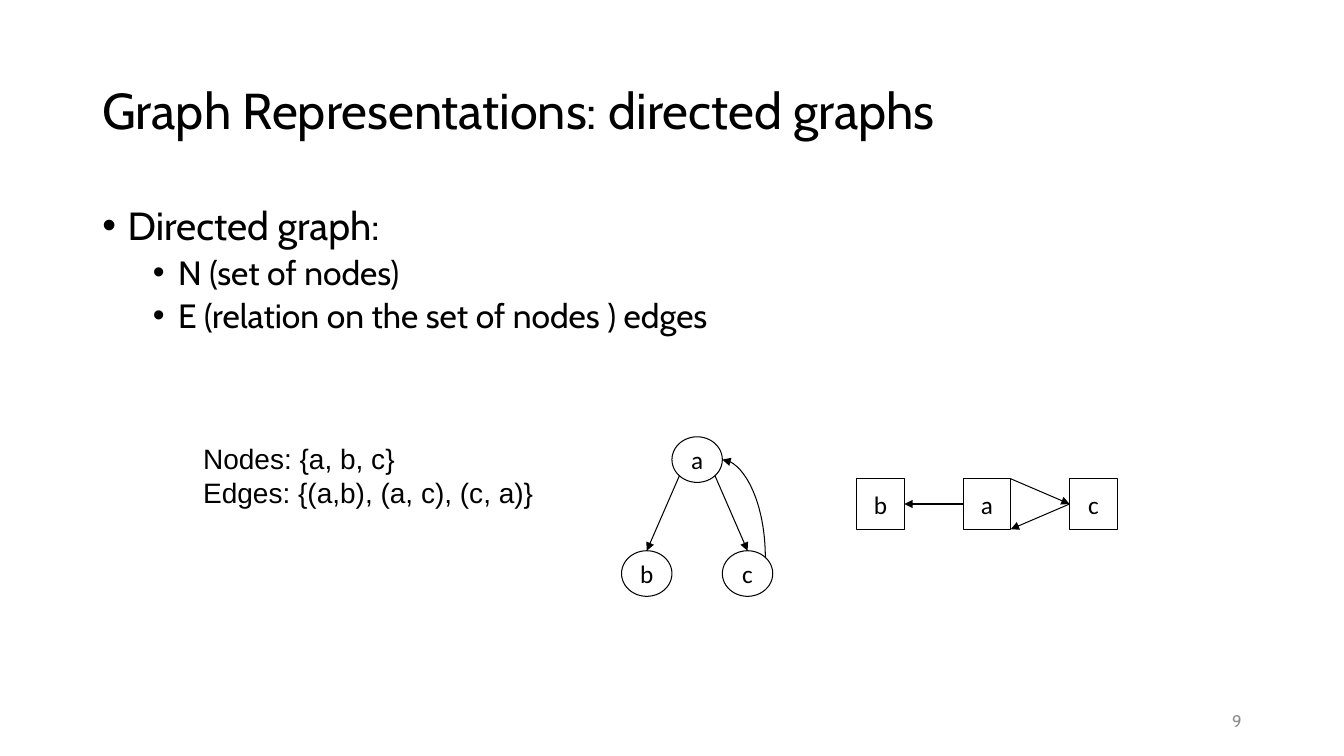
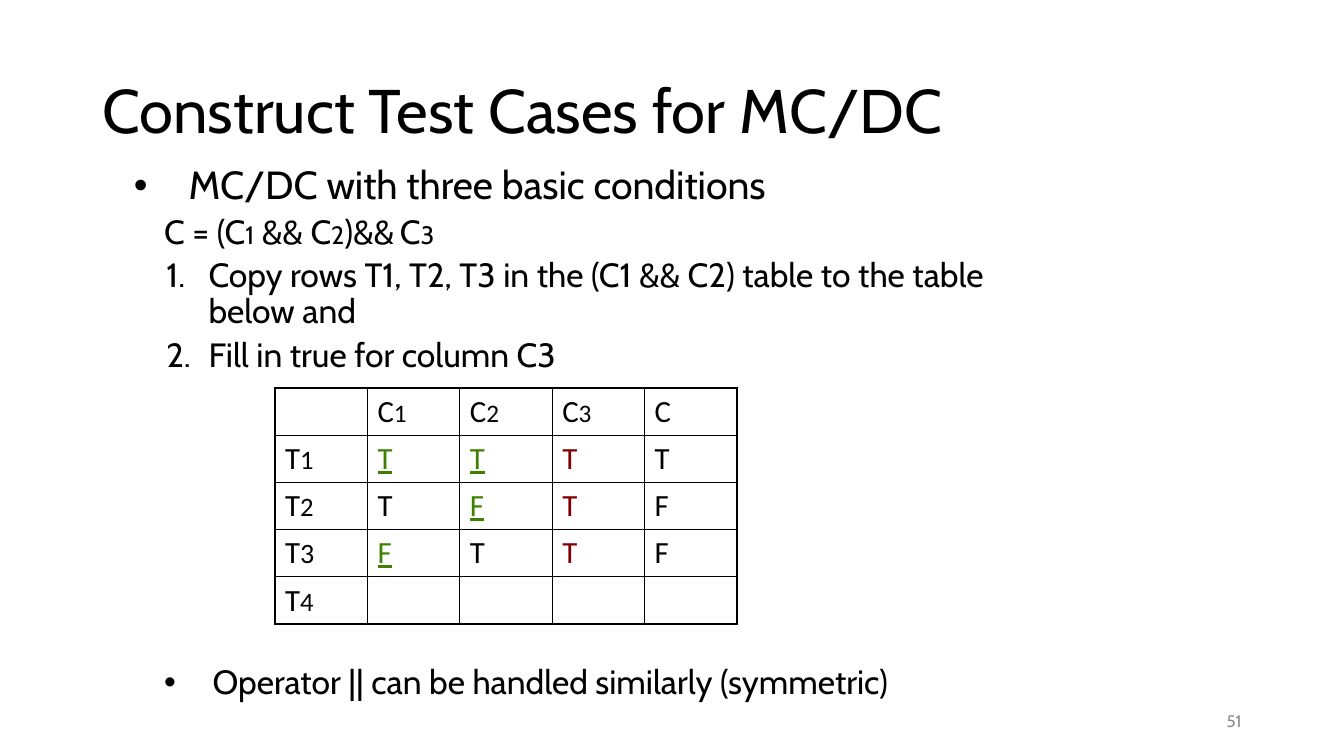
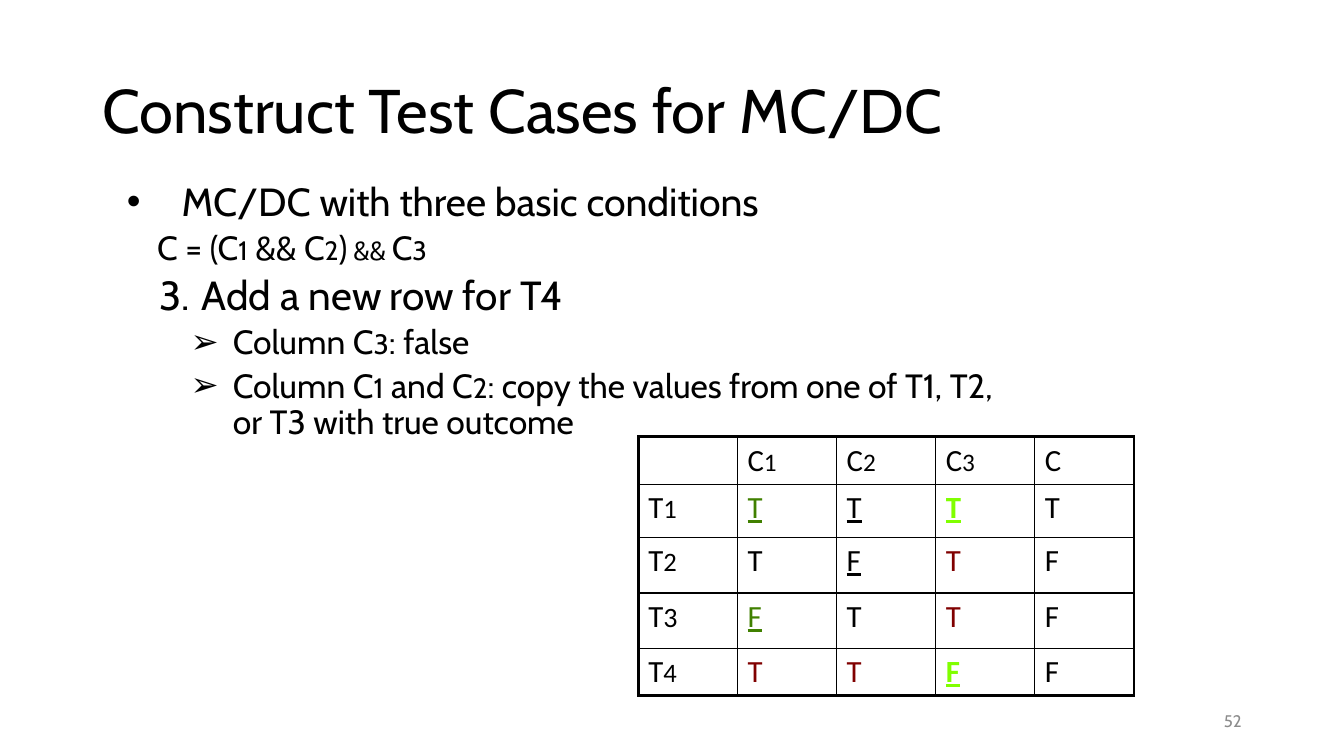
"""Build three lecture slides on directed graphs and MC/DC test cases."""
import lxml.etree
import pptx
import pptx.dml.color
import pptx.enum.shapes
import pptx.enum.text
import pptx.oxml.ns
import pptx.util

Pt = pptx.util.Pt
qn = pptx.oxml.ns.qn
SHAPES = pptx.enum.shapes.MSO_SHAPE
CONNECTORS = pptx.enum.shapes.MSO_CONNECTOR
ALIGN = pptx.enum.text.PP_ALIGN
MIDDLE = pptx.enum.text.MSO_ANCHOR.MIDDLE


def rgb(hex_color):
    return pptx.dml.color.RGBColor.from_string(hex_color)


def add_xml(parent, tag, **attributes):
    return lxml.etree.SubElement(parent, qn(tag), attributes)


class Deck:
    """Hold the shared style and the current slide."""

    INK, MUTED = "000000", "8C8C8C"
    HEADING, PLAIN, LABEL = "Cabin", "Arial", "Calibri"
    # level, left indent, first-line indent, bullet, space before
    LIST_STYLES = {
        "topic": (0, 18, -18, "•", 10),
        "point": (1, 54, -18, "•", 5),
        "wide topic": (0, 39, -39, "•", 10),
        "formula": (1, 21.6, 0, "", 5),
        "step": (1, 53.3, -30.2, "1", 5),
        "third step": (1, 53.3, -30.2, "3", 5),
        "detail": (2, 75.6, -30.2, "➢", 5),
        "closing": (1, 56.2, -34.6, "•", 208),
    }
    # colour, underline, bold
    MARKS = {
        "": (INK, False, False),
        "line": (INK, True, False),
        "pair": ("408000", True, False),
        "fixed": ("800000", False, False),
        "new": ("80FF00", True, True),
    }
    DIGIT_SIZES = {"C": 18, "T": 19, "T3": 20}

    def __init__(self):
        self.prs = pptx.Presentation()
        self.prs.slide_width, self.prs.slide_height = Pt(960), Pt(540)
        self.slide = None

    def run(self, paragraph, text, size, font, color=INK, underline=False, bold=False):
        run = paragraph.add_run()
        run.text = text
        run.font.size, run.font.name = Pt(size), font
        run.font.color.rgb = rgb(color)
        run.font.underline, run.font.bold = underline, bold

    def place(self, shape, left, top, width, height):
        shape.left, shape.top, shape.width, shape.height = map(Pt, (left, top, width, height))
        shape.text_frame.auto_size = pptx.enum.text.MSO_AUTO_SIZE.NONE
        return shape.text_frame

    def start(self, title, size, number):
        self.slide = self.prs.slides.add_slide(self.prs.slide_layouts[1])
        frame = self.place(self.slide.shapes.title, 66, 28.8, 828, 104.4)
        frame.vertical_anchor = MIDDLE
        heading = frame.paragraphs[0]
        heading.alignment, heading.line_spacing = ALIGN.LEFT, 0.9
        self.run(heading, title, size, self.HEADING)
        self.text([str(number)], (678, 500.5, 216, 28.8), 12, self.HEADING,
                  self.MUTED, ALIGN.RIGHT, MIDDLE)

    def text(self, lines, box, size, font, color=INK, align=ALIGN.LEFT, anchor=None):
        frame = self.slide.shapes.add_textbox(*map(Pt, box)).text_frame
        frame.word_wrap, frame.vertical_anchor = True, anchor
        for index, line in enumerate(lines):
            paragraph = frame.add_paragraph() if index else frame.paragraphs[0]
            paragraph.alignment = align
            self.run(paragraph, line, size, font, color)

    def body(self, box, items):
        frame = self.place(self.slide.placeholders[1], *box)
        for index, (style, *runs) in enumerate(items):
            level, margin, indent, bullet, before = self.LIST_STYLES[style]
            paragraph = frame.add_paragraph() if index else frame.paragraphs[0]
            properties = paragraph._p.get_or_add_pPr()
            properties.set("marL", str(Pt(margin)))
            properties.set("indent", str(Pt(indent)))
            if not bullet:
                add_xml(properties, "a:buNone")
            elif bullet.isdigit():
                add_xml(properties, "a:buFont", typeface=self.HEADING)
                add_xml(properties, "a:buAutoNum", type="arabicPeriod", startAt=bullet)
            else:
                add_xml(properties, "a:buFont", typeface=self.PLAIN)
                add_xml(properties, "a:buChar", char=bullet)
            paragraph.level, paragraph.line_spacing = level, 0.9
            paragraph.space_before = Pt(before if index else 0)
            for words, size in runs:
                self.run(paragraph, words, size, self.HEADING)

    def node(self, kind, name, left, top, width, height):
        node = self.slide.shapes.add_shape(kind, *map(Pt, (left, top, width, height)))
        node.shadow.inherit = False
        node.fill.background()
        node.line.color.rgb, node.line.width = rgb(self.INK), Pt(0.75)
        frame = node.text_frame
        frame.word_wrap, frame.vertical_anchor = False, MIDDLE
        frame.paragraphs[0].alignment = ALIGN.CENTER
        self.run(frame.paragraphs[0], name, 18, self.LABEL)

    def arrow(self, x1, y1, x2, y2, kind=CONNECTORS.STRAIGHT):
        arrow = self.slide.shapes.add_connector(kind, *map(Pt, (x1, y1, x2, y2)))
        arrow.line.color.rgb, arrow.line.width = rgb(self.INK), Pt(0.75)
        add_xml(arrow.line._get_or_add_ln(), "a:tailEnd", type="triangle")
        add_xml(arrow._element.spPr, "a:effectLst")
        return arrow

    def quarter_curve(self, x1, y1, x2, y2):
        """Draw an arrow that leaves vertically and arrives horizontally."""
        middle_x, middle_y = (x1 + x2) / 2, (y1 + y2) / 2
        half_x, half_y = (x1 - x2) / 2, (y1 - y2) / 2
        curve = self.arrow(middle_x + half_y, middle_y - half_x,
                           middle_x - half_y, middle_y + half_x, CONNECTORS.CURVE)
        properties = curve._element.spPr
        properties.find(qn("a:xfrm")).set("rot", "5400000")
        properties.find(qn("a:prstGeom")).set("prst", "curvedConnector2")

    def borders(self, cell, edges):
        properties = cell._tc.get_or_add_tcPr()
        for side, outer in edges.items():
            line = add_xml(properties, "a:ln" + side, w=str(Pt(2.25 if outer else 1)))
            add_xml(add_xml(line, "a:solidFill"), "a:srgbClr", val=self.INK)

    def truth_table(self, left, top, column_width, row_heights, rows):
        count = len(rows[0])
        table = self.slide.shapes.add_table(
            len(rows), count, Pt(left), Pt(top),
            Pt(column_width * count), Pt(sum(row_heights))).table
        table.first_row = table.horz_banding = False
        for column in table.columns:
            column.width = Pt(column_width)
        for y, (height, entries) in enumerate(zip(row_heights, rows)):
            table.rows[y].height = Pt(height)
            for x, entry in enumerate(entries):
                cell = table.cell(y, x)
                self.borders(cell, {"L": x == 0, "R": x == count - 1,
                                    "T": y == 0, "B": y == len(rows) - 1})
                cell.fill.background()
                value, _, mark = entry.partition(" ")
                paragraph = cell.text_frame.paragraphs[0]
                if value:
                    self.run(paragraph, value[0], 22, self.LABEL, *self.MARKS[mark])
                if value[1:]:
                    size = self.DIGIT_SIZES.get(value, self.DIGIT_SIZES[value[0]])
                    self.run(paragraph, value[1:], size, self.LABEL)


def directed_graphs(deck):
    deck.start("Graph Representations: directed graphs", 36, 9)
    deck.body((66, 144, 828, 342.7), [
        ("topic", ("Directed graph:", 28)),
        ("point", ("N (set of nodes)", 24)),
        ("point", ("E (relation on the set of nodes ) edges", 24)),
    ])
    deck.text(["Nodes: {a, b, c}", "Edges: {(a,b), (a, c), (c, a)}"],
              (138, 312, 312, 66), 20, deck.PLAIN)
    for name, left, top in (("a", 480, 312), ("b", 444, 393.4), ("c", 516, 393.4)):
        deck.node(SHAPES.OVAL, name, left, top, 36, 32.6)
    for index, name in enumerate("bac"):
        deck.node(SHAPES.RECTANGLE, name, 612 + 76 * index, 342, 34, 36)
    for ends in ((485.3, 339.8, 462, 393.4), (510.7, 339.8, 534, 393.4),
                 (688, 360, 646, 360), (764, 360, 722, 378), (722, 342, 764, 360)):
        deck.arrow(*ends)
    deck.quarter_curve(546.7, 398.2, 516, 328.3)


def copy_rows(deck):
    deck.start("Construct Test Cases for MC/DC", 44, 51)
    deck.body((88.5, 115, 648, 402), [
        ("wide topic", ("MC/DC with three basic conditions", 28)),
        ("formula", ("C = (C", 24), ("1", 18), (" && C", 24), ("2", 18),
         (")&&", 24), (" ", 18), ("C", 24), ("3", 18)),
        ("step", ("Copy rows T1, T2, T3 in the (C1 && C2) table to the table below and", 24)),
        ("step", ("Fill in true for column C3", 24)),
        ("closing", ("Operator || can be handled similarly (symmetric)", 24)),
    ])
    deck.truth_table(196.5, 277.2, 66, [32.4, 33.1, 33.8, 33.8, 32.4], [
        ["", "C1", "C2", "C3", "C"],
        ["T1", "T pair", "T pair", "T fixed", "T"],
        ["T2", "T", "F pair", "T fixed", "F"],
        ["T3", "F pair", "T", "T fixed", "F"],
        ["T4", "", "", "", ""],
    ])


def add_row(deck):
    deck.start("Construct Test Cases for MC/DC", 44, 52)
    deck.body((83.5, 126.7, 648, 400), [
        ("wide topic", ("MC/DC with three basic conditions", 28)),
        ("formula", ("C = (C", 24), ("1", 19), (" && C", 24), ("2", 19),
         (")", 24), (" && ", 19), ("C", 24), ("3", 19)),
        ("third step", ("Add a new", 29), (" ", 24), ("row for T4", 29)),
        ("detail", ("Column C", 24), ("3", 20), (": false", 24)),
        ("detail", ("Column C", 24), ("1", 20), (" and C", 24), ("2", 20),
         (": copy the values from one of T1, T2, or T3 with true outcome", 24)),
    ])
    deck.truth_table(456, 312, 70.8, [33.8, 38.2, 39.6, 39.6, 33.8], [
        ["", "C1", "C2", "C3", "C"],
        ["T1", "T pair", "T line", "T new", "T"],
        ["T2", "T", "F line", "T fixed", "F"],
        ["T3", "F pair", "T", "T fixed", "F"],
        ["T4", "T fixed", "T fixed", "F new", "F"],
    ])


def main():
    deck = Deck()
    for build in (directed_graphs, copy_rows, add_row):
        build(deck)
    deck.prs.save("out.pptx")


if __name__ == "__main__":
    main()
